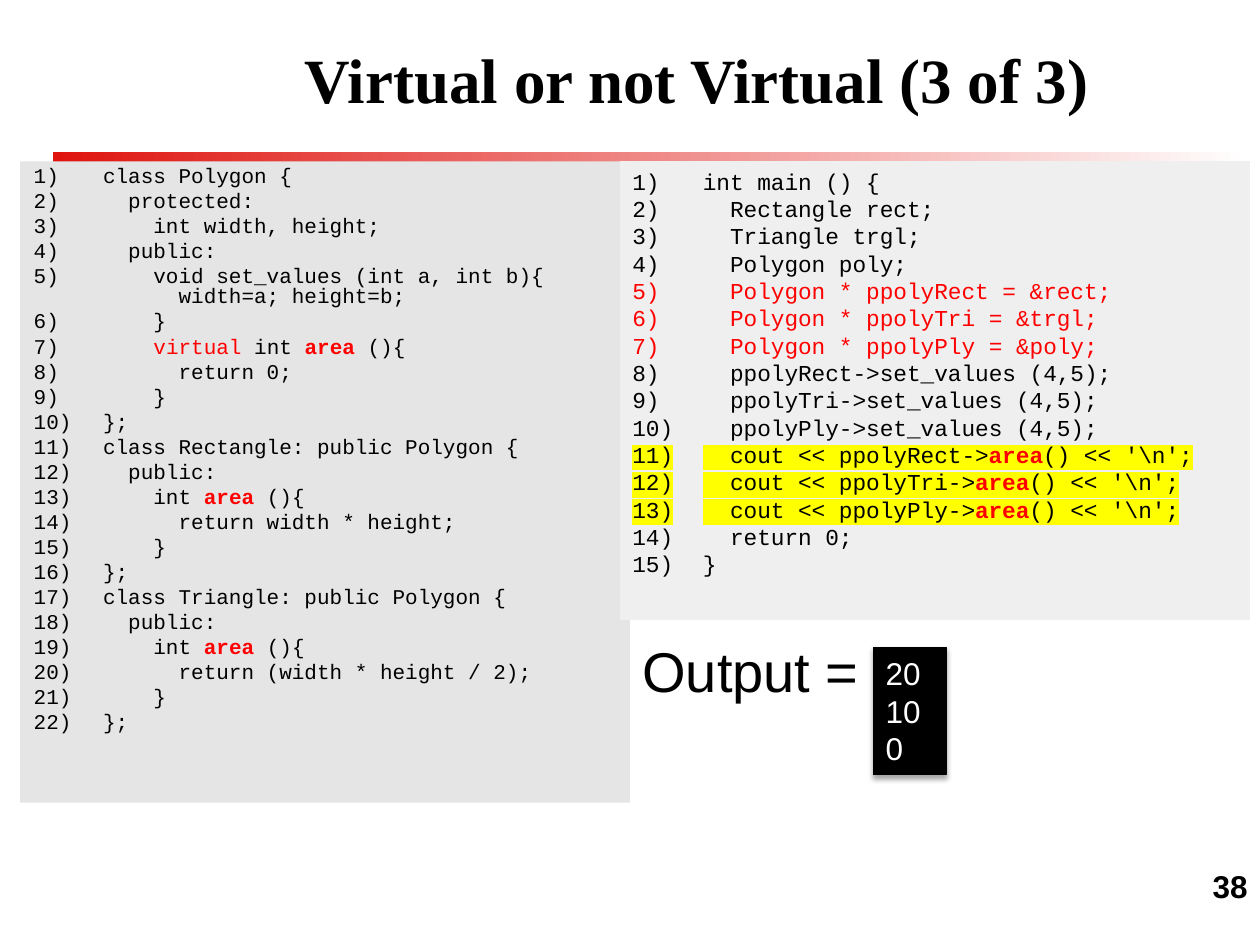
from lxml import etree
from pptx import Presentation
from pptx.dml.color import RGBColor
from pptx.enum.shapes import MSO_SHAPE as Shape
from pptx.enum.text import MSO_ANCHOR as Anchor, PP_ALIGN as Align
from pptx.oxml.ns import qn
from pptx.util import Inches, Pt

BLACK, WHITE, RED, YELLOW = "000000", "FFFFFF", "FF0000", "FFFF00"

CLASSES = """class Polygon {
  protected:
    int width, height;
  public:
    void set_values (int a, int b){ \v      width=a; height=b;
    }
    virtual int area (){
      return 0;
    }
};
class Rectangle: public Polygon {
  public:
    int area (){
      return width * height;
    }
};
class Triangle: public Polygon {
  public:
    int area (){
      return (width * height / 2);
    }
};""".split("\n")

MAIN = r"""int main () {
  Rectangle rect;
  Triangle trgl;
  Polygon poly;
  Polygon * ppolyRect = &rect;
  Polygon * ppolyTri = &trgl;
  Polygon * ppolyPly = &poly;
  ppolyRect->set_values (4,5);
  ppolyTri->set_values (4,5);
  ppolyPly->set_values (4,5);
  cout << ppolyRect->area() << '\n';
  cout << ppolyTri->area() << '\n';
  cout << ppolyPly->area() << '\n';
  return 0;
}""".split("\n")


def color(value):
    return RGBColor.from_string(value)


def add_element(parent, tag, **attributes):
    return etree.SubElement(parent, qn(tag), attributes)


def add_text(paragraph, text, size=18, font="Arial", ink=BLACK, bold=False, highlight=None):
    """Add text to a paragraph; a vertical tab becomes a line break."""
    for number, part in enumerate(text.split("\v")):
        if number:
            paragraph.add_line_break()
        run = paragraph.add_run()
        run.text = part
        run.font.size, run.font.bold = Pt(size), bold
        run.font.color.rgb = color(ink)
        if highlight:
            marker = add_element(run.font._element, "a:highlight")
            add_element(marker, "a:srgbClr", val=highlight)
        run.font.name = font


def split_keyword(line):
    """Yield (text, is_keyword, is_bold) pieces of one line of code."""
    for word in ("virtual", "area"):
        before, found, line_rest = line.partition(word)
        if found:
            yield before, False, False
            yield word, True, word == "area"
            line = line_rest
    yield line, False, False


class SlideBuilder:
    code_font = "Courier New"

    def __init__(self, slide):
        self.slide = slide

    def rectangle(self, left, top, width, height, fill=None):
        box = self.slide.shapes.add_shape(
            Shape.RECTANGLE, Inches(left), Inches(top), Inches(width), Inches(height))
        box.shadow.inherit = False
        box.line.fill.background()
        if fill:
            box.fill.solid()
            box.fill.fore_color.rgb = color(fill)
        box.text_frame.word_wrap = True
        box.text_frame.vertical_anchor = Anchor.TOP
        return box

    def gradient_bar(self, left, top, width, height, colors):
        bar = self.rectangle(left, top, width, height)
        bar.fill.gradient()
        bar.fill.gradient_angle = 0
        for stop, value in zip(bar.fill.gradient_stops, colors):
            stop.color.rgb = color(value)

    def lines(self, frame, texts, align=Align.LEFT, **style):
        for number, text in enumerate(texts):
            paragraph = frame.add_paragraph() if number else frame.paragraphs[0]
            paragraph.alignment = align
            add_text(paragraph, text, **style)

    def label(self, left, top, width, height, text, anchor=Anchor.TOP, wrap=True, **style):
        box = self.slide.shapes.add_textbox(
            Inches(left), Inches(top), Inches(width), Inches(height))
        box.text_frame.word_wrap = wrap
        box.text_frame.vertical_anchor = anchor
        self.lines(box.text_frame, [text], **style)

    def number_line(self, paragraph, ink, indent):
        properties = paragraph._p.get_or_add_pPr()
        properties.set("marL", str(Inches(0.56)))
        properties.set("indent", str(-Inches(indent)))
        add_element(add_element(properties, "a:buClr"), "a:srgbClr", val=ink)
        add_element(properties, "a:buFont", typeface=self.code_font)
        add_element(properties, "a:buAutoNum", type="arabicParenR")

    def code(self, left, top, width, height, listing, size, fill,
             indent=0.56, spacing=None, gap=0):
        frame = self.rectangle(left, top, width, height, fill).text_frame
        for number, line in enumerate(listing):
            paragraph = frame.add_paragraph() if number else frame.paragraphs[0]
            paragraph.alignment = Align.LEFT
            if spacing:
                paragraph.line_spacing = spacing
            if number and gap:
                paragraph.space_before = Pt(gap)
            ink = RED if "Polygon *" in line else BLACK
            highlight = YELLOW if "cout" in line else None
            self.number_line(paragraph, ink, indent)
            for piece, keyword, bold in split_keyword(line):
                add_text(paragraph, piece, size=size, font=self.code_font, bold=bold,
                         ink=RED if keyword else ink, highlight=highlight)

    def console(self, left, top, width, height, results):
        screen = self.rectangle(left, top, width, height, BLACK)
        screen.line.color.rgb = color(BLACK)
        screen.line.width = Pt(0.75)
        effects = screen._element.spPr.find(qn("a:effectLst"))
        shadow = add_element(effects, "a:outerShdw", blurRad=str(Pt(3.1)), dist=str(Pt(1.8)),
                             dir="5400000", rotWithShape="0")
        shade = add_element(shadow, "a:srgbClr", val=BLACK)
        add_element(shade, "a:alpha", val="35000")
        self.lines(screen.text_frame, results, ink=WHITE)


def main():
    deck = Presentation()
    deck.slide_width, deck.slide_height = Inches(10), Inches(7.5)
    page = SlideBuilder(deck.slides.add_slide(deck.slide_layouts[6]))

    # Rule under the title
    page.gradient_bar(0.42, 1.21, 9.5, 0.08, ["DF140F", WHITE])

    # Class definitions and main program
    page.code(0.16, 1.28, 4.84, 5.09, CLASSES, 12, "E5E5E5", indent=0.55, spacing=0.8, gap=2.8)
    page.code(4.92, 1.28, 5, 3.64, MAIN, 13, "EFEFEF")

    # Program output
    page.console(6.93, 5.14, 0.58, 1.01, ["20", "10", "0"])

    # Page number, title and output caption
    page.label(7.92, 6.83, 2.08, 0.25, "38", align=Align.RIGHT, bold=True)
    page.label(1.08, 0, 8.9, 1.25, "Virtual or not Virtual (3 of 3)", anchor=Anchor.MIDDLE,
               align=Align.CENTER, size=36, font="Times New Roman", bold=True)
    page.label(5, 5, 1.93, 0.64, "Output =", wrap=False, size=32)

    deck.save("out.pptx")


if __name__ == "__main__":
    main()
